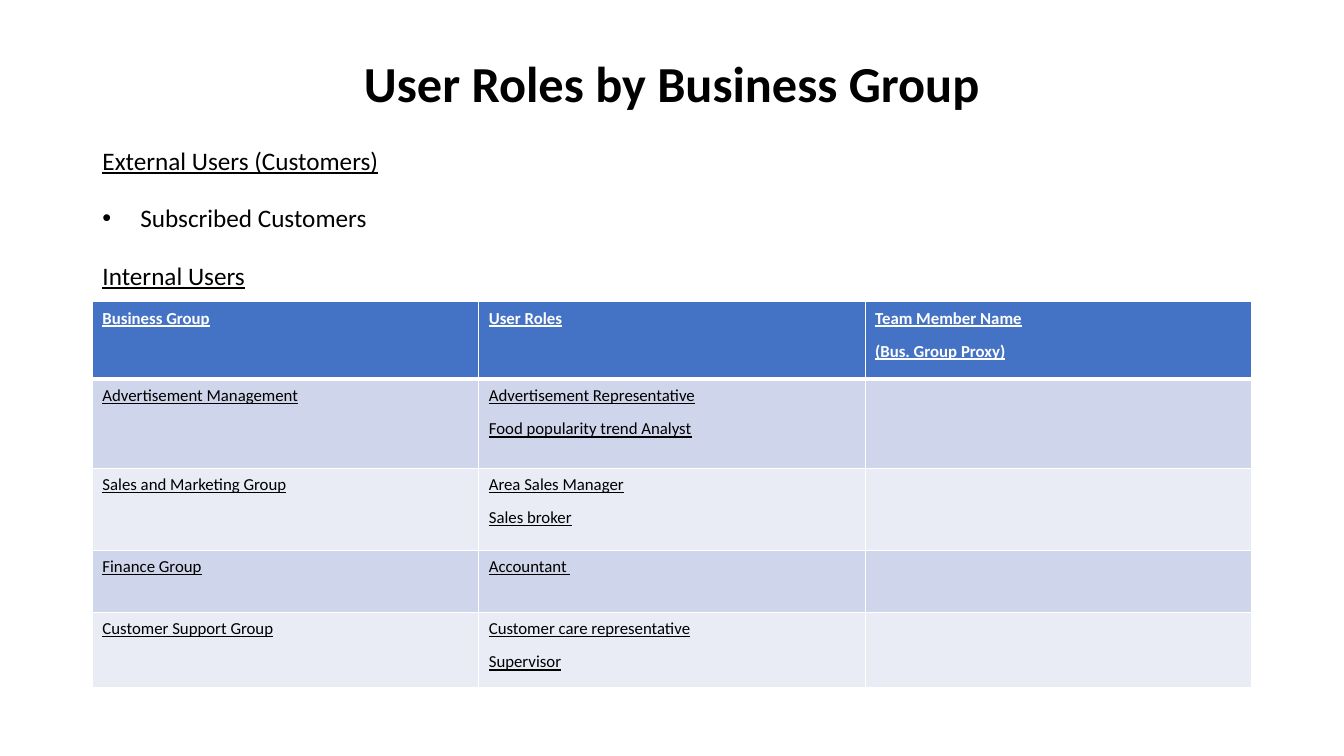
from lxml import etree
from pptx import Presentation
from pptx.dml.color import RGBColor
from pptx.enum.text import MSO_ANCHOR, MSO_AUTO_SIZE, PP_ALIGN
from pptx.oxml.ns import qn
from pptx.util import Pt

MIDDLE, TOP = MSO_ANCHOR.MIDDLE, MSO_ANCHOR.TOP
NO_FIT = MSO_AUTO_SIZE.NONE
LEFT, CENTER = PP_ALIGN.LEFT, PP_ALIGN.CENTER

BLACK, WHITE = "000000", "FFFFFF"
HEADER_FILL = "4472C4"
BAND_FILLS = ("CFD5EA", "E9EBF5")

MARGIN, CONTENT_WIDTH = 66, 828
TITLE_BOX = (MARGIN, 29, CONTENT_WIDTH, 104)
BODY_BOX = (MARGIN, 98.5, CONTENT_WIDTH, 343)
TABLE_TOP = 215.5
ROW_HEIGHTS = (55.5, 63.5, 58.5, 44.5, 54)

USER_LIST = [
    ("External Users (Customers)", False),
    ("Subscribed Customers", True),
    ("Internal Users", False),
]
ROLE_ROWS = [
    ("Business Group", "User Roles", "Team Member Name\n(Bus. Group Proxy)"),
    ("Advertisement Management",
     "Advertisement Representative\nFood popularity trend Analyst", ""),
    ("Sales and Marketing Group", "Area Sales Manager\nSales broker", ""),
    ("Finance Group", "Accountant ", ""),
    ("Customer Support Group", "Customer care representative\nSupervisor", ""),
]


def color(value):
    """Turn a hex string into a colour."""
    return RGBColor.from_string(value)


def set_values(target, values):
    """Set each named attribute on the target."""
    for name, value in values.items():
        setattr(target, name, value)


class SlideBuilder:
    """Holds the style and the current slide."""

    font_name = "Calibri"

    def __init__(self, slide):
        """Start work on a slide."""
        self.slide = slide

    def format_paragraph(self, paragraph, size, text_color, layout, **font):
        """Apply font and spacing values to a paragraph and its runs."""
        set_values(paragraph, layout)
        for run in paragraph.runs:
            set_values(run.font, {"name": self.font_name, "size": Pt(size), **font})
            run.font.color.rgb = color(text_color)

    def place(self, shape, box, anchor):
        """Move a placeholder and fix its text frame."""
        names = ("left", "top", "width", "height")
        set_values(shape, {name: Pt(length) for name, length in zip(names, box)})
        set_values(shape.text_frame, {
            "word_wrap": True, "auto_size": NO_FIT, "vertical_anchor": anchor,
        })

    def title(self, text, box):
        """Fill the title, raised by one line above the middle of its box."""
        shape = self.slide.shapes.title
        self.place(shape, box, MIDDLE)
        shape.text_frame.text = text
        shape.text_frame.margin_bottom = Pt(43)
        self.format_paragraph(
            shape.text_frame.paragraphs[0], 36, BLACK,
            {"alignment": CENTER, "line_spacing": 0.9}, bold=True)

    def user_list(self, entries, box):
        """Fill the body with underlined headings and bulleted entries."""
        shape = self.slide.placeholders[1]
        self.place(shape, box, TOP)
        shape.text_frame.text = "\n".join(text for text, _ in entries)
        layout = {"alignment": LEFT, "line_spacing": 1.07,
                  "space_before": Pt(10), "space_after": Pt(8)}
        for paragraph, (_, bulleted) in zip(shape.text_frame.paragraphs, entries):
            self.format_paragraph(paragraph, 18, BLACK, layout, underline=not bulleted)
            self.bullet(paragraph, 27 if bulleted else 0)

    def bullet(self, paragraph, indent):
        """Give a paragraph a hanging bullet, or none when indent is zero."""
        properties = paragraph._p.get_or_add_pPr()
        properties.set("marL", str(Pt(indent)))
        properties.set("indent", str(Pt(-indent)))
        if indent:
            etree.SubElement(properties, qn("a:buFont"), typeface="Arial")
            etree.SubElement(properties, qn("a:buChar"), char="\u2022")
        else:
            etree.SubElement(properties, qn("a:buNone"))

    def borders(self, cell, widths):
        """Draw white left, right, top and bottom borders."""
        properties = cell._tc.get_or_add_tcPr()
        for side, width in zip("LRTB", widths):
            line = etree.SubElement(properties, qn("a:ln" + side), w=str(Pt(width)))
            fill = etree.SubElement(line, qn("a:solidFill"))
            etree.SubElement(fill, qn("a:srgbClr"), val=WHITE)

    def table(self, rows, top, row_heights):
        """Add a banded table with equal columns and a header row."""
        columns = len(rows[0])
        table = self.slide.shapes.add_table(
            len(rows), columns, Pt(MARGIN), Pt(top),
            Pt(CONTENT_WIDTH), Pt(sum(row_heights))).table
        for column in table.columns:
            column.width = Pt(CONTENT_WIDTH / columns)
        for index, (texts, height) in enumerate(zip(rows, row_heights)):
            table.rows[index].height = Pt(height)
            header = index == 0
            fill = HEADER_FILL if header else BAND_FILLS[(index - 1) % 2]
            widths = (1, 1, 3 if index == 1 else 1, 3 if header else 1)
            for cell, text in zip(table.rows[index].cells, texts):
                self.borders(cell, widths)
                cell.fill.solid()
                cell.fill.fore_color.rgb = color(fill)
                cell.text_frame.text = text
                for paragraph in cell.text_frame.paragraphs:
                    self.format_paragraph(
                        paragraph, 12, WHITE if header else BLACK,
                        {"line_spacing": 1.07, "space_after": Pt(8)},
                        bold=header, underline=True)


def main():
    """Build and save the presentation."""
    presentation = Presentation()
    set_values(presentation, {"slide_width": Pt(960), "slide_height": Pt(540)})
    slide = presentation.slides.add_slide(presentation.slide_layouts[1])
    builder = SlideBuilder(slide)
    builder.title("User Roles by Business Group", TITLE_BOX)
    builder.user_list(USER_LIST, BODY_BOX)
    builder.table(ROLE_ROWS, TABLE_TOP, ROW_HEIGHTS)
    presentation.save("out.pptx")


main()
